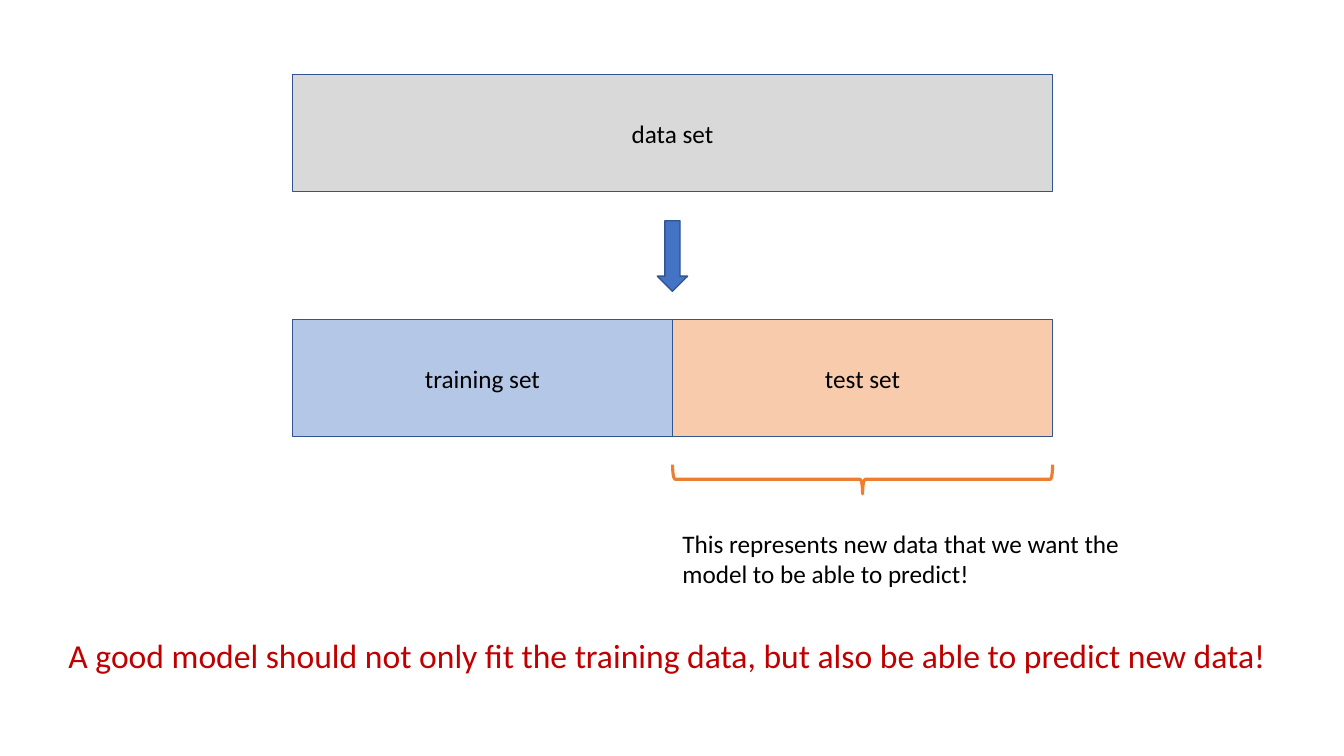
from pptx import Presentation
from pptx.dml.color import RGBColor
from pptx.enum.shapes import MSO_SHAPE
from pptx.enum.text import MSO_ANCHOR, MSO_AUTO_SIZE, PP_ALIGN
from pptx.util import Inches, Pt

RECT = MSO_SHAPE.RECTANGLE
ARROW = MSO_SHAPE.DOWN_ARROW
BRACE = MSO_SHAPE.RIGHT_BRACE
MIDDLE = MSO_ANCHOR.MIDDLE
GROW = MSO_AUTO_SIZE.SHAPE_TO_FIT_TEXT
LEFT, CENTER = PP_ALIGN.LEFT, PP_ALIGN.CENTER


def color(code):
    return RGBColor.from_string(code)


class Painter:
    font = "Calibri"
    ink = "000000"
    edge = "325491"

    def __init__(self, slide):
        self.slide = slide

    def fill_text(self, frame, text, size, ink, align):
        frame.text = text
        para = frame.paragraphs[0]
        para.alignment = align
        font = para.runs[0].font
        font.name, font.size = self.font, Pt(size)
        font.color.rgb = color(ink)

    def shape(self, kind, x, y, w, h, fill=None, line=edge, width=1):
        item = self.slide.shapes.add_shape(
            kind, Inches(x), Inches(y), Inches(w), Inches(h))
        item.shadow.inherit = False
        if fill:
            item.fill.solid()
            item.fill.fore_color.rgb = color(fill)
        else:
            item.fill.background()
        item.line.color.rgb = color(line)
        item.line.width = Pt(width)
        return item

    def box(self, text, x, y, w, h, fill):
        frame = self.shape(RECT, x, y, w, h, fill).text_frame
        frame.vertical_anchor = MIDDLE
        self.fill_text(frame, text, 18, self.ink, CENTER)

    def brace(self, x, y, w, h):
        # Turned a quarter about its center, so width and height swap
        item = self.shape(BRACE, x + (w - h) / 2, y + (h - w) / 2, h, w,
                          line="ED7D31", width=2.25)
        item.rotation = 90

    def label(self, text, x, y, w, h, size=18, ink=ink, wrap=True):
        frame = self.slide.shapes.add_textbox(
            Inches(x), Inches(y), Inches(w), Inches(h)).text_frame
        frame.word_wrap = wrap
        frame.auto_size = GROW
        self.fill_text(frame, text, size, ink, LEFT)


deck = Presentation()
deck.slide_width, deck.slide_height = Inches(13.33), Inches(7.5)
page = Painter(deck.slides.add_slide(deck.slide_layouts[6]))

left, half, tall = 2.9, 3.77, 1.16
mid = left + half

# Whole data set and its two halves
page.box("data set", left, 0.74, 2 * half, tall, "D9D9D9")
page.box("training set", left, 3.17, half, tall, "B4C7E7")
page.box("test set", mid, 3.17, half, tall, "F8CBAD")

# Arrow from whole to halves, brace under the test set
page.shape(ARROW, mid - 0.15, 2.19, 0.3, 0.7, "4472C4")
page.brace(mid, 4.61, half, 0.29)

# Note and conclusion
page.label("This represents new data that we want the model to be able to "
           "predict!", mid, 5.19, 5.07, 0.71)
page.label("A good model should not only fit the training data, but also be "
           "able to predict new data!", 0.58, 6.25, 12.18, 0.5,
           24, "C00000", False)

deck.save("out.pptx")
